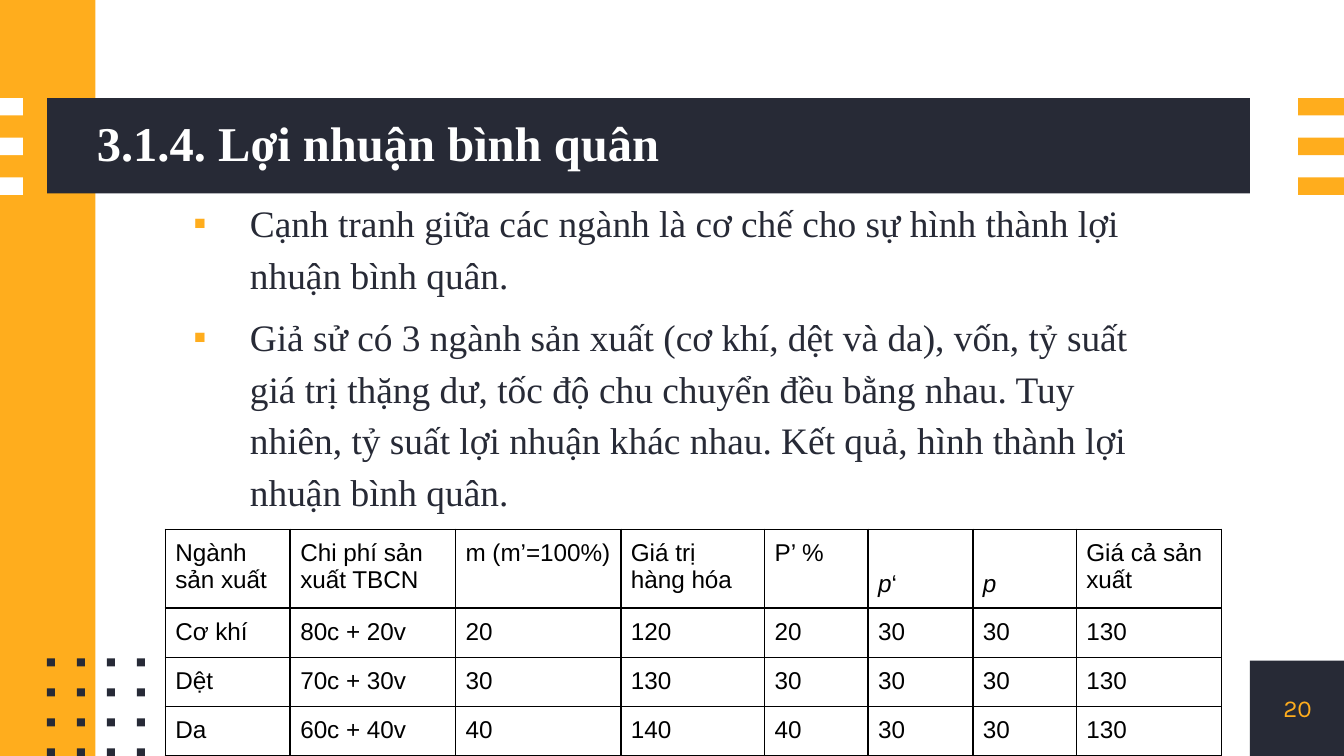
from lxml import etree
from pptx import Presentation
from pptx import util as u
from pptx.dml.color import RGBColor
from pptx.enum import shapes, text
from pptx.oxml import ns

AMBER = RGBColor(0xFF, 0xAD, 0x1D)
NAVY = RGBColor(0x27, 0x2A, 0x36)
WHITE = RGBColor(0xFF, 0xFF, 0xFF)
BLACK = RGBColor(0, 0, 0)

WIDTH = 10
HEIGHT = WIDTH * 9 / 16
MARGIN = 0.71          # side band, title bar height and page number square
BAR_LEFT, BAR_TOP = 0.35, 0.73
BAR_RIGHT = 9.3
DOT, DOT_STEP = 0.06, 0.223
STRIPE, STRIPE_STEP = 0.13, 0.295
CELL_INSET = u.Pt(5.4)

SERIF, SANS, NUMBER_FONT = "Times New Roman", "Arial", "Karla"

POINTS = [
    "Cạnh tranh giữa các ngành là cơ chế cho sự hình thành lợi nhuận bình quân.",
    "Giả sử có 3 ngành sản xuất (cơ khí, dệt và da), vốn, tỷ suất giá trị thặng dư, "
    "tốc độ chu chuyển đều bằng nhau. Tuy nhiên, tỷ suất lợi nhuận khác nhau. "
    "Kết quả, hình thành lợi nhuận bình quân.",
]

COLUMN_WIDTHS = [0.93, 1.23, 1.23, 1.07, 0.77, 0.78, 0.77, 1.08]
ROW_HEIGHTS = [0.57, 0.36, 0.36, 0.36]
INDUSTRIES = [
    ["Ngành sản xuất", "Chi phí sản xuất TBCN", "m (m’=100%)", "Giá trị hàng hóa",
     "P’ %", "p‘", "p", "Giá cả sản xuất"],
    ["Cơ khí", "80c + 20v", "20", "120", "20", "30", "30", "130"],
    ["Dệt", "70c + 30v", "30", "130", "30", "30", "30", "130"],
    ["Da", "60c + 40v", "40", "140", "40", "30", "30", "130"],
]


def add_block(slide, left, top, width, height, color):
    block = slide.shapes.add_shape(
        shapes.MSO_SHAPE.RECTANGLE,
        u.Inches(left), u.Inches(top), u.Inches(width), u.Inches(height))
    block.shadow.inherit = False
    block.fill.solid()
    block.fill.fore_color.rgb = color
    block.line.fill.background()


def add_run(paragraph, words, *, size, font, color, bold=False, italic=False):
    run = paragraph.add_run()
    run.text = words
    run.font.size = u.Pt(size)
    run.font.name = font
    run.font.color.rgb = color
    run.font.bold = bold
    run.font.italic = italic


def add_text_frame(slide, left, top, width, height, anchor):
    frame = slide.shapes.add_textbox(
        u.Inches(left), u.Inches(top), u.Inches(width), u.Inches(height)).text_frame
    frame.word_wrap = True
    frame.vertical_anchor = anchor
    frame.margin_left = frame.margin_top = frame.margin_right = frame.margin_bottom = 0
    return frame


def add_bullet(paragraph, color):
    properties = paragraph._p.get_or_add_pPr()
    properties.set("marL", str(u.Inches(0.5)))
    properties.set("indent", str(u.Inches(-0.42)))
    bullet_color = etree.SubElement(properties, ns.qn("a:buClr"))
    etree.SubElement(bullet_color, ns.qn("a:srgbClr"), val=str(color))
    etree.SubElement(properties, ns.qn("a:buFont"), typeface=SANS)
    etree.SubElement(properties, ns.qn("a:buChar"), char="▪")


def add_borders(cell, color):
    properties = cell._tc.get_or_add_tcPr()
    for side in ("lnL", "lnR", "lnT", "lnB"):
        border = etree.SubElement(properties, ns.qn(f"a:{side}"), w=str(u.Pt(1)))
        fill = etree.SubElement(border, ns.qn("a:solidFill"))
        etree.SubElement(fill, ns.qn("a:srgbClr"), val=str(color))


def add_decoration(slide):
    # Page number square, side band and title bar
    add_block(slide, BAR_RIGHT, HEIGHT - MARGIN, MARGIN, MARGIN, NAVY)
    add_block(slide, 0, 0, MARGIN, HEIGHT, AMBER)
    add_block(slide, BAR_LEFT, BAR_TOP, BAR_RIGHT - BAR_LEFT, MARGIN, NAVY)

    # Stripes on both sides of the title bar
    for row in range(3):
        top = BAR_TOP + row * STRIPE_STEP
        add_block(slide, 0, top, 0.17, STRIPE, WHITE)
        add_block(slide, 9.66, top, 0.34, STRIPE, AMBER)

    # Dot grid in the lower left corner
    for row in range(4):
        for column in range(4):
            add_block(slide, BAR_LEFT + column * DOT_STEP, 4.9 + row * DOT_STEP,
                      DOT, DOT, NAVY)


def add_industry_table(slide, left, top):
    table = slide.shapes.add_table(
        len(ROW_HEIGHTS), len(COLUMN_WIDTHS), u.Inches(left), u.Inches(top),
        u.Inches(sum(COLUMN_WIDTHS)), u.Inches(sum(ROW_HEIGHTS))).table
    table.first_row = table.horz_banding = False
    for column, width in zip(table.columns, COLUMN_WIDTHS):
        column.width = u.Inches(width)
    for row, height, values in zip(table.rows, ROW_HEIGHTS, INDUSTRIES):
        row.height = u.Inches(height)
        for cell, value in zip(row.cells, values):
            cell.margin_left = cell.margin_right = CELL_INSET
            cell.margin_top = cell.margin_bottom = CELL_INSET
            add_borders(cell, BLACK)
            cell.fill.solid()
            cell.fill.fore_color.rgb = WHITE
            paragraph = cell.text_frame.paragraphs[0]
            # The average rate and profit symbols sit low, with an italic p
            if value.startswith("p"):
                cell.vertical_anchor = text.MSO_ANCHOR.BOTTOM
                add_run(paragraph, "p", size=13, font=SANS, color=BLACK, italic=True)
                value = value[1:]
            if value:
                add_run(paragraph, value, size=13, font=SANS, color=BLACK)


def main():
    deck = Presentation()
    deck.slide_width, deck.slide_height = u.Inches(WIDTH), u.Inches(HEIGHT)
    slide = deck.slides.add_slide(deck.slide_layouts[6])
    add_decoration(slide)

    # Title
    heading = add_text_frame(slide, 0.72, BAR_TOP, 8.58, MARGIN,
                             text.MSO_ANCHOR.MIDDLE).paragraphs[0]
    heading.line_spacing = 0.9
    add_run(heading, "3.1.4. Lợi nhuận bình quân",
            size=26, font=SERIF, color=WHITE, bold=True)

    # Bulleted points
    body = add_text_frame(slide, 1.36, BAR_TOP + MARGIN, 7.27, 2.74, text.MSO_ANCHOR.TOP)
    for index, point in enumerate(POINTS):
        paragraph = body.add_paragraph() if index else body.paragraphs[0]
        paragraph.line_spacing = 1.15
        paragraph.space_before = u.Pt(6)
        add_bullet(paragraph, AMBER)
        add_run(paragraph, point, size=20, font=SERIF, color=NAVY)

    # Page number
    page_number = add_text_frame(slide, BAR_RIGHT, HEIGHT - MARGIN, MARGIN, MARGIN,
                                 text.MSO_ANCHOR.MIDDLE).paragraphs[0]
    page_number.alignment = text.PP_ALIGN.CENTER
    add_run(page_number, "20", size=13, font=NUMBER_FONT, color=AMBER)

    # Profit by industry
    add_industry_table(slide, 1.23, 3.94)

    deck.save("out.pptx")


if __name__ == "__main__":
    main()
